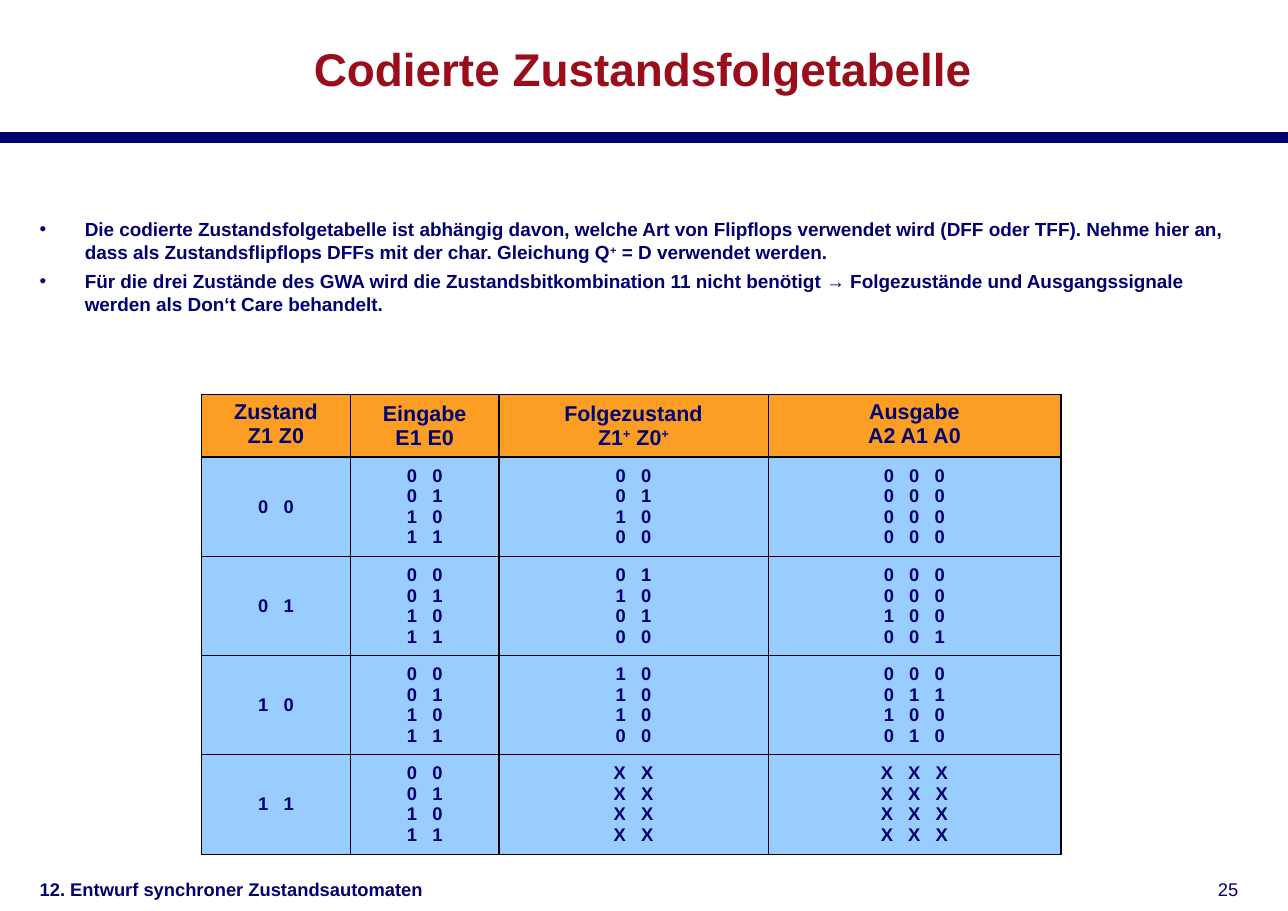
from lxml.etree import SubElement
from pptx import Presentation
from pptx.dml.color import RGBColor
from pptx.enum.shapes import MSO_CONNECTOR
from pptx.enum.text import MSO_ANCHOR, PP_ALIGN
from pptx.oxml.ns import qn
from pptx.util import Inches, Pt

NAVY, RED, ORANGE, BLUE = "000070", "9A0E1B", "FB9E23", "99CCFF"


def rgb(color):
    return RGBColor.from_string(color)


def write(p, text, size, color=NAVY, bold=True, align=PP_ALIGN.LEFT, spacing=0):
    p.alignment = align
    for i, part in enumerate(text.split("+")):
        for piece, raised in (("+", True), (part, False)) if i else ((part, False),):
            if not piece:
                continue
            r = p.add_run()
            r.text = piece
            r.font.name = "Arial"
            r.font.size = Pt(size)
            r.font.bold = bold
            r.font.color.rgb = rgb(color)
            if raised:
                r.font._element.set("baseline", "30000")
            if spacing:
                r.font._element.set("spc", str(spacing))


prs = Presentation()
prs.slide_width, prs.slide_height = Inches(11.69), Inches(8.27)
s = prs.slides.add_slide(prs.slide_layouts[6])

rule = s.shapes.add_connector(MSO_CONNECTOR.STRAIGHT, 0, Inches(1.25), Inches(11.69), Inches(1.25))
rule.line.color.rgb = rgb(NAVY)
rule.line.width = Pt(7.09)
SubElement(rule._element.spPr, qn("a:effectLst"))

frames = []
for left, top, width, height in [
    (0.25, 0.28, 11.17, 0.68),
    (0.25, 1.93, 11.17, 1.02),
    (0.25, 7.92, 4.25, 0.35),
    (10.88, 7.92, 0.47, 0.35),
]:
    tf = s.shapes.add_textbox(Inches(left), Inches(top), Inches(width), Inches(height)).text_frame
    tf.word_wrap = True
    tf.margin_left = tf.margin_right = Inches(0.11)
    tf.margin_top = tf.margin_bottom = Inches(0.05)
    frames.append(tf)

title, body, footer, number = frames
title.vertical_anchor = MSO_ANCHOR.MIDDLE
write(title.paragraphs[0], "Codierte Zustandsfolgetabelle", 30, RED, align=PP_ALIGN.CENTER)
write(footer.paragraphs[0], "12. Entwurf synchroner Zustandsautomaten", 12)
write(number.paragraphs[0], "25", 12, bold=False, align=PP_ALIGN.RIGHT)

bullets = [
    "Die codierte Zustandsfolgetabelle ist abhängig davon, welche Art von Flipflops verwendet wird "
    "(DFF oder TFF). Nehme hier an, dass als Zustandsflipflops DFFs mit der char. Gleichung Q+ = D "
    "verwendet werden.",
    "Für die drei Zustände des GWA wird die Zustandsbitkombination 11 nicht benötigt → "
    "Folgezustände und Ausgangssignale werden als Don‘t Care behandelt.",
]
for i, text in enumerate(bullets):
    p = body.add_paragraph() if i else body.paragraphs[0]
    pPr = p._p.get_or_add_pPr()
    pPr.set("marL", str(Inches(0.41)))
    pPr.set("indent", str(-Inches(0.41)))
    SubElement(SubElement(pPr, qn("a:buClr")), qn("a:srgbClr"), val=NAVY)
    SubElement(pPr, qn("a:buFont"), typeface="Arial")
    SubElement(pPr, qn("a:buChar"), char="•")
    if i:
        p.space_before = Pt(4)
    write(p, text, 12.4)

inputs = ["0 0", "0 1", "1 0", "1 1"]
rows = [
    [["Zustand", "Z1 Z0"], ["Eingabe", "E1 E0"], ["Folgezustand", "Z1+ Z0+"], ["Ausgabe", "A2 A1 A0"]],
    [["0 0"], inputs, ["0 0", "0 1", "1 0", "0 0"], ["0 0 0"] * 4],
    [["0 1"], inputs, ["0 1", "1 0", "0 1", "0 0"], ["0 0 0", "0 0 0", "1 0 0", "0 0 1"]],
    [["1 0"], inputs, ["1 0", "1 0", "1 0", "0 0"], ["0 0 0", "0 1 1", "1 0 0", "0 1 0"]],
    [["1 1"], inputs, ["X X"] * 4, ["X X X"] * 4],
]
table = s.shapes.add_table(5, 4, Inches(1.83), Inches(3.58), Inches(7.8), Inches(4.17)).table
table.first_row = table.horz_banding = False
for column, width in zip(table.columns, [1.35, 1.35, 2.44, 2.66]):
    column.width = Inches(width)

for i, row in enumerate(rows):
    header = i == 0
    table.rows[i].height = Inches(0.57 if header else 0.9)
    for j, lines in enumerate(row):
        cell = table.cell(i, j)
        cell.margin_left = cell.margin_right = Inches(0.1)
        cell.margin_top = cell.margin_bottom = Inches(0.05)
        cell.vertical_anchor = MSO_ANCHOR.TOP if header and j in (0, 3) else MSO_ANCHOR.MIDDLE
        thick_sides = {"lnL": j % 2 == 0, "lnR": j % 2 == 1, "lnT": i <= 1, "lnB": header}
        for side, thick in thick_sides.items():
            ln = SubElement(cell._tc.get_or_add_tcPr(), qn("a:" + side), w=str(Pt(0.96 if thick else 0.45)))
            SubElement(SubElement(ln, qn("a:solidFill")), qn("a:srgbClr"), val="000000")
        cell.fill.solid()
        cell.fill.fore_color.rgb = rgb(ORANGE if header else BLUE)
        tf = cell.text_frame
        for k, text in enumerate(lines):
            p = tf.add_paragraph() if k else tf.paragraphs[0]
            write(p, text, 14 if header else 12, align=PP_ALIGN.CENTER, spacing=0 if header else 333)

prs.save("out.pptx")
